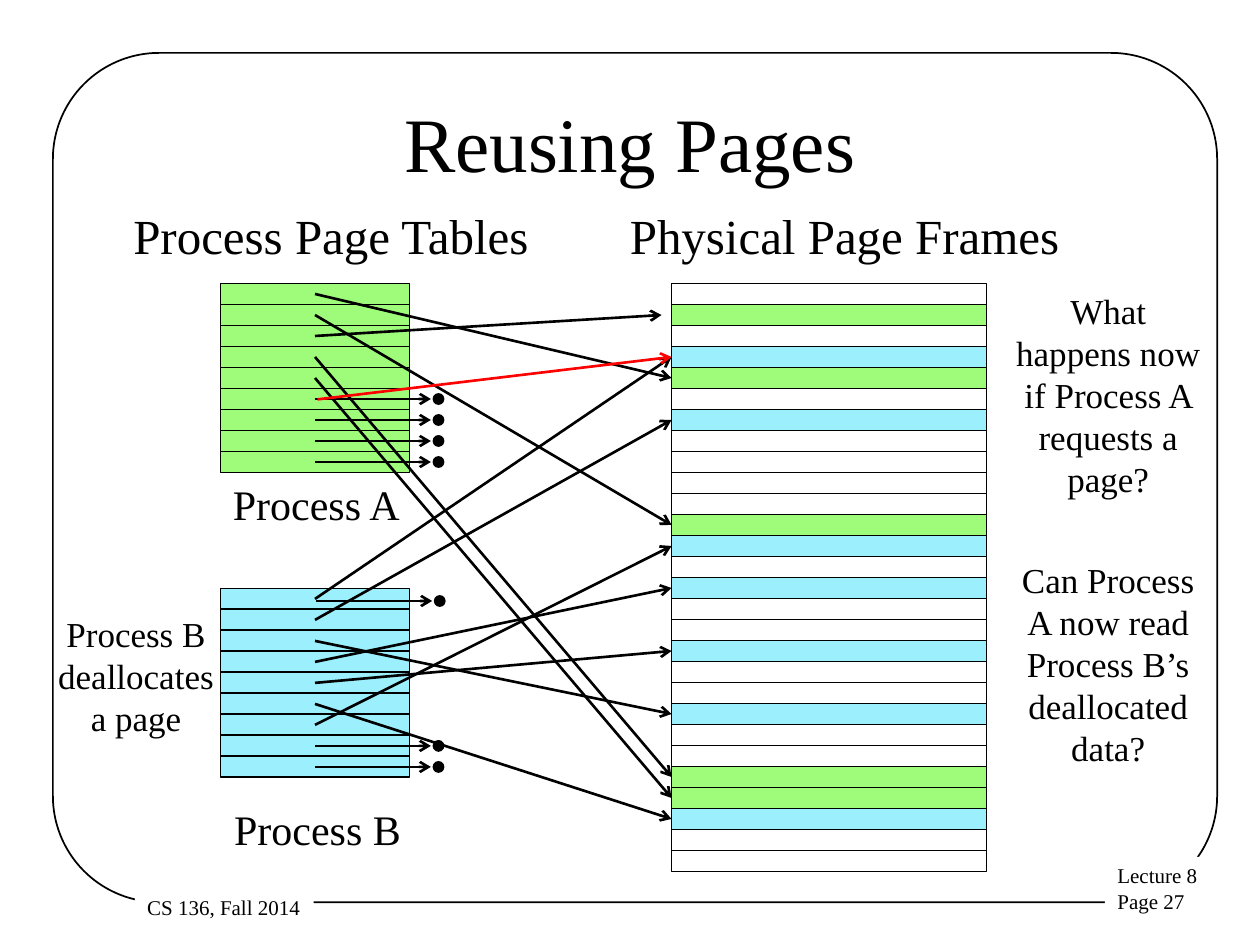
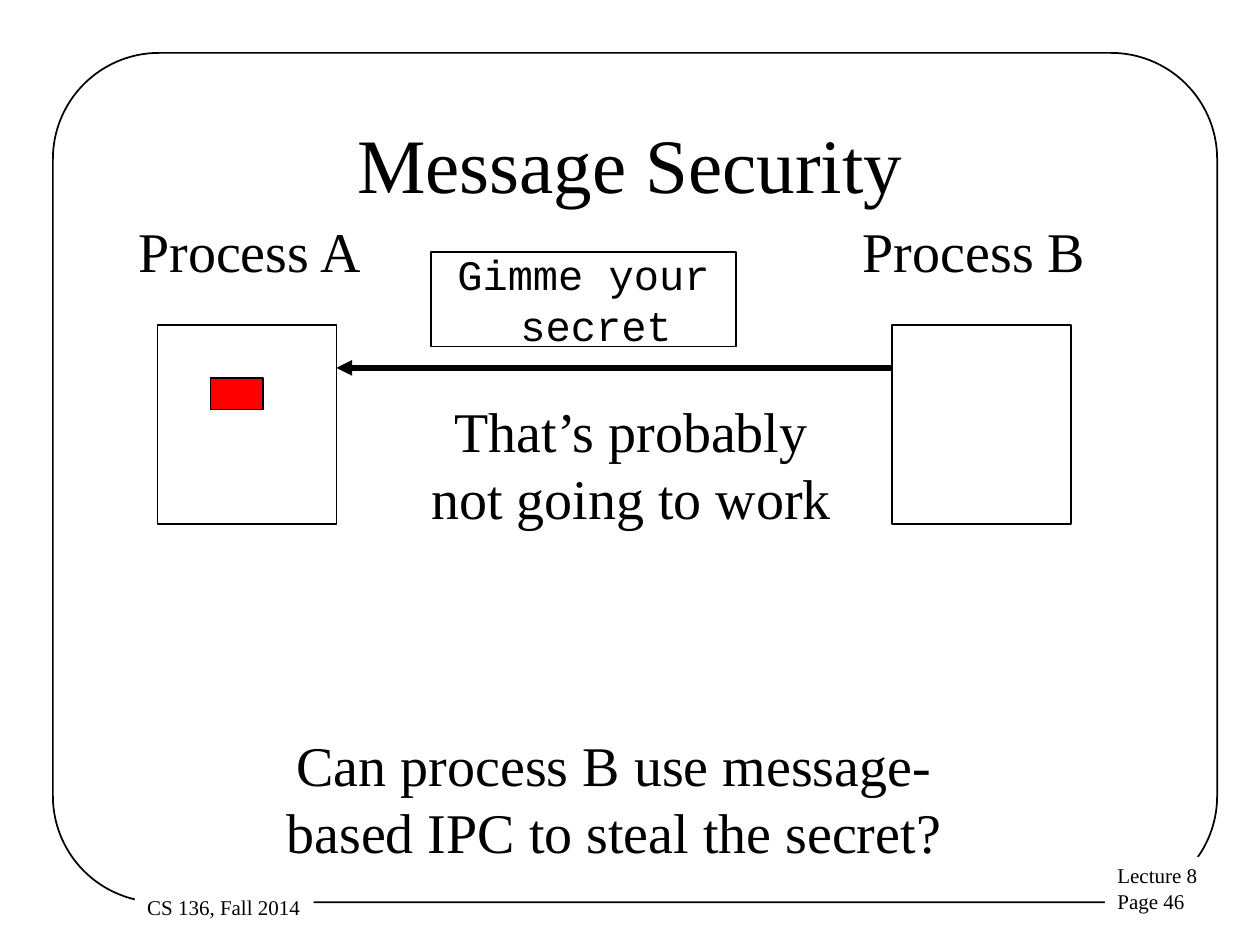
import dataclasses
import lxml.etree
import pptx
import pptx.dml.color
import pptx.enum.shapes
import pptx.enum.text
import pptx.oxml.ns
import pptx.util

Inches = pptx.util.Inches
Shape = pptx.enum.shapes.MSO_SHAPE
Align = pptx.enum.text.PP_ALIGN
Anchor = pptx.enum.text.MSO_ANCHOR


@dataclasses.dataclass(frozen=True)
class Theme:
    serif: str = "Times New Roman"
    mono: str = "Courier New"
    black: str = "000000"
    white: str = "FFFFFF"
    red: str = "FF0000"
    green: str = "9EFC7A"
    blue: str = "9CEFFD"
    title: int = 44
    large: int = 32
    head: int = 28
    label: int = 24
    note: int = 20
    foot: int = 12


THEME = Theme()
ROW = 1 / 6
FRAMES = 28
A_MAP = [4, 11, 1, 23, 24, None, None, None, None]
B_MAP = [3, 6, 20, 14, 17, 25, 12, None, None]


def tint(code):
    return pptx.dml.color.RGBColor.from_string(code)


def write(shape, lines, size, align=Align.LEFT, wrap=True, anchor=Anchor.TOP, font=THEME.serif):
    frame = shape.text_frame
    frame.text = "\n".join(lines)
    frame.word_wrap = wrap
    frame.vertical_anchor = anchor
    for para in frame.paragraphs:
        para.alignment = align
        para.font.size = pptx.util.Pt(size)
        para.font.name = font
        para.font.color.rgb = tint(THEME.black)


def draw(slide, kind, x, y, w, h, fill=None, line=THEME.black):
    shape = slide.shapes.add_shape(kind, Inches(x), Inches(y), Inches(w), Inches(h))
    shape.shadow.inherit = False
    if fill:
        shape.fill.solid()
        shape.fill.fore_color.rgb = tint(fill)
    else:
        shape.fill.background()
    if line:
        shape.line.color.rgb = tint(line)
        shape.line.width = pptx.util.Pt(1)
    else:
        shape.line.fill.background()
    return shape


def label(slide, x, y, w, h, text, size, align=Align.LEFT):
    box = slide.shapes.add_textbox(Inches(x), Inches(y), Inches(w), Inches(h))
    write(box, [text], size, align)


def arrow(slide, x1, y1, x2, y2, color=THEME.black, width=1.5, head="arrow", goal=None):
    line = slide.shapes.add_connector(
        pptx.enum.shapes.MSO_CONNECTOR.STRAIGHT, Inches(x1), Inches(y1), Inches(x2), Inches(y2))
    line.line.color.rgb = tint(color)
    line.line.width = pptx.util.Pt(width)
    if goal is not None:
        line.end_connect(goal, 1)
    props = line.element.spPr
    tail = lxml.etree.SubElement(props.find(pptx.oxml.ns.qn("a:ln")), pptx.oxml.ns.qn("a:tailEnd"))
    tail.set("type", head)
    lxml.etree.SubElement(props, pptx.oxml.ns.qn("a:effectLst"))


def start(deck, title, top, page):
    slide = deck.slides.add_slide(deck.slide_layouts[5])
    border = draw(slide, Shape.ROUNDED_RECTANGLE, 0.42, 0.42, 9.24, 6.74)
    border.adjustments[0] = 0.125
    number = draw(slide, Shape.RECTANGLE, 8.77, 6.8, 1.27, 0.5, THEME.white, None)
    write(number, ["Lecture 8", f"Page {page}"], THEME.foot)
    course = draw(slide, Shape.RECTANGLE, 1.07, 7.05, 1.42, 0.3, THEME.white, None)
    write(course, ["CS 136, Fall 2014"], THEME.foot, wrap=False)
    head = slide.shapes.title
    head.left, head.top, head.width, head.height = map(Inches, (0.75, top, 8.5, 1.25))
    write(head, [title], THEME.title, Align.CENTER, anchor=Anchor.MIDDLE)
    return slide


def stack(slide, x, y, w, fills):
    return [draw(slide, Shape.RECTANGLE, x, y + i * ROW, w, ROW, fill)
            for i, fill in enumerate(fills)]


def empty(slide, x, y):
    arrow(slide, x, y, x + 0.92, y)
    draw(slide, Shape.OVAL, x + 0.94, y - 0.04, 0.08, 0.08, THEME.black)


def table(slide, x, y, w, fill, targets, frames):
    stack(slide, x, y, w, [fill] * len(targets))
    mid = x + w / 2
    for i, target in enumerate(targets):
        level = y + (i + 0.5) * ROW
        if target is None:
            empty(slide, mid, level)
        elif target == 1:
            arrow(slide, mid, level, 5.25, 2.5)
        else:
            arrow(slide, mid, level, 5.33, level, goal=frames[target])


def reuse(deck):
    slide = start(deck, "Reusing Pages", 0.5, 27)
    fills = [THEME.green if i in A_MAP else THEME.blue if i in B_MAP else THEME.white
             for i in range(FRAMES)]
    frames = stack(slide, 5.33, 2.25, 2.5, fills)
    table(slide, 1.75, 2.25, 1.5, THEME.green, A_MAP, frames)
    table(slide, 1.75, 4.67, 1.5, THEME.blue, B_MAP, frames)
    empty(slide, 2.51, 4.77)
    arrow(slide, 2.52, 3.17, 5.33, 2.83, THEME.red, goal=frames[3])
    label(slide, 0.96, 1.58, 3.5, 0.57, "Process Page Tables", THEME.head)
    label(slide, 4.9, 1.58, 3.75, 0.57, "Physical Page Frames", THEME.head)
    label(slide, 1.75, 3.75, 1.65, 0.5, "Process A", THEME.label)
    label(slide, 1.76, 6.33, 1.65, 0.5, "Process B", THEME.label)
    for x, y, w, h, text in (
            (7.92, 2.25, 1.75, 1.77, "What happens now if Process A requests a page?"),
            (7.92, 4.38, 1.75, 1.77, "Can Process A now read Process B’s deallocated data?"),
            (0.33, 4.81, 1.5, 1.1, "Process B deallocates a page")):
        label(slide, x, y, w, h, text, THEME.note, Align.CENTER)


def process(slide, x, y, name, shift):
    draw(slide, Shape.RECTANGLE, x, y, 1.42, 1.58)
    label(slide, x - shift, y - 0.91, 2.1, 0.64, name, THEME.large)


def message(slide, x, y, w, h):
    box = draw(slide, Shape.RECTANGLE, x, y, w, h)
    write(box, ["Gimme your", "secret"], THEME.label, Align.CENTER,
          anchor=Anchor.MIDDLE, font=THEME.mono)
    last = box.text_frame.paragraphs[1].runs[0]._r.getparent()
    last.get_or_add_pPr().set("marL", str(Inches(0.2)))


def secure(deck):
    slide = start(deck, "Message Security", 0.67, 46)
    process(slide, 1.25, 2.58, "Process A", 0.25)
    process(slide, 7.08, 2.58, "Process B", 0.33)
    draw(slide, Shape.RECTANGLE, 1.67, 3, 0.42, 0.25, THEME.red)
    arrow(slide, 7.08, 2.92, 2.67, 2.92, width=3, head="triangle")
    message(slide, 3.42, 2, 2.42, 0.75)
    label(slide, 3.25, 3.1, 3.52, 1.17, "That’s probably not going to work",
          THEME.large, Align.CENTER)
    label(slide, 1.75, 5.75, 6.25, 1.17, "Can process B use message-based IPC to steal the secret?",
          THEME.large, Align.CENTER)


def main():
    deck = pptx.Presentation()
    deck.slide_width, deck.slide_height = Inches(10), Inches(7.5)
    reuse(deck)
    secure(deck)
    deck.save("out.pptx")


if __name__ == "__main__":
    main()
